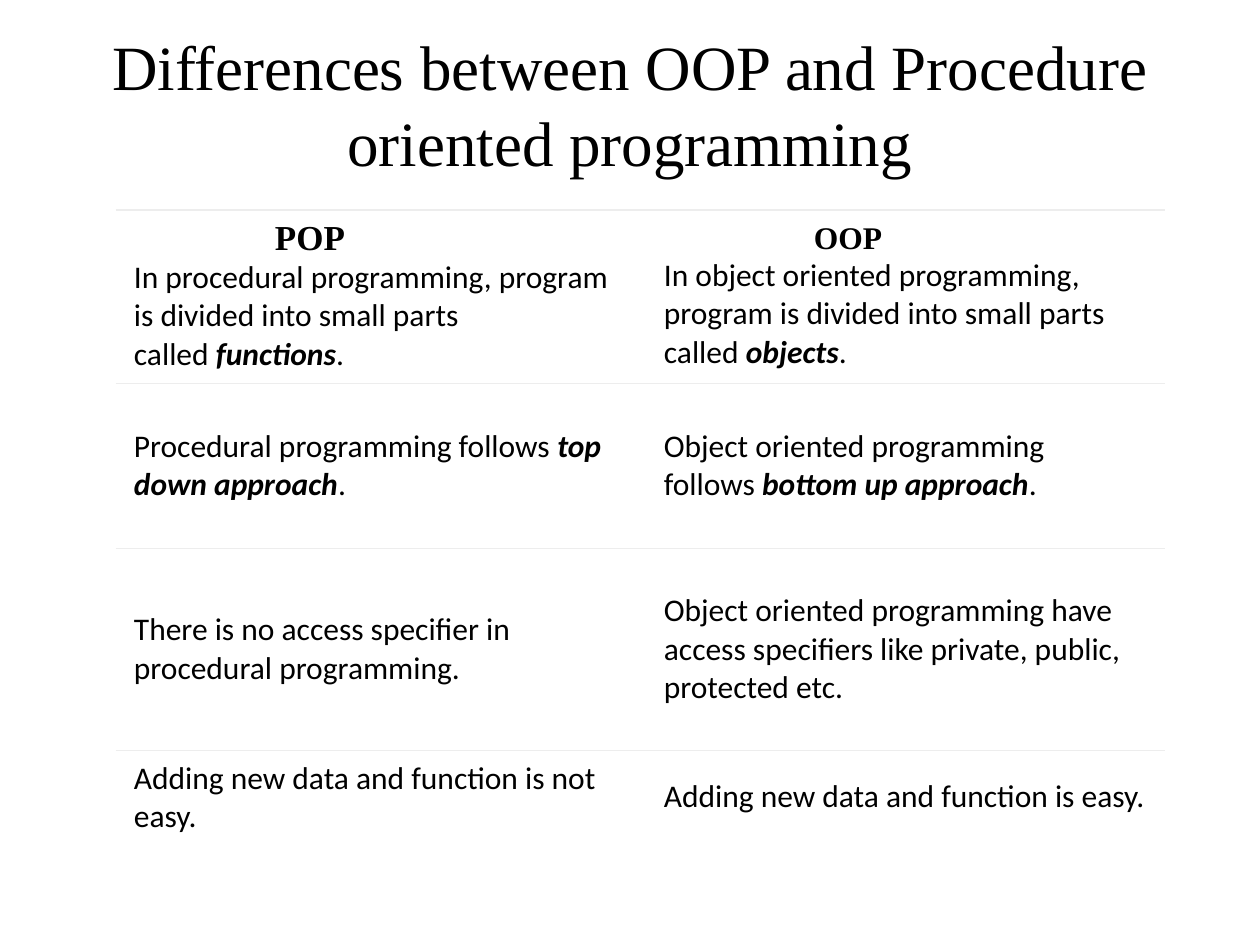
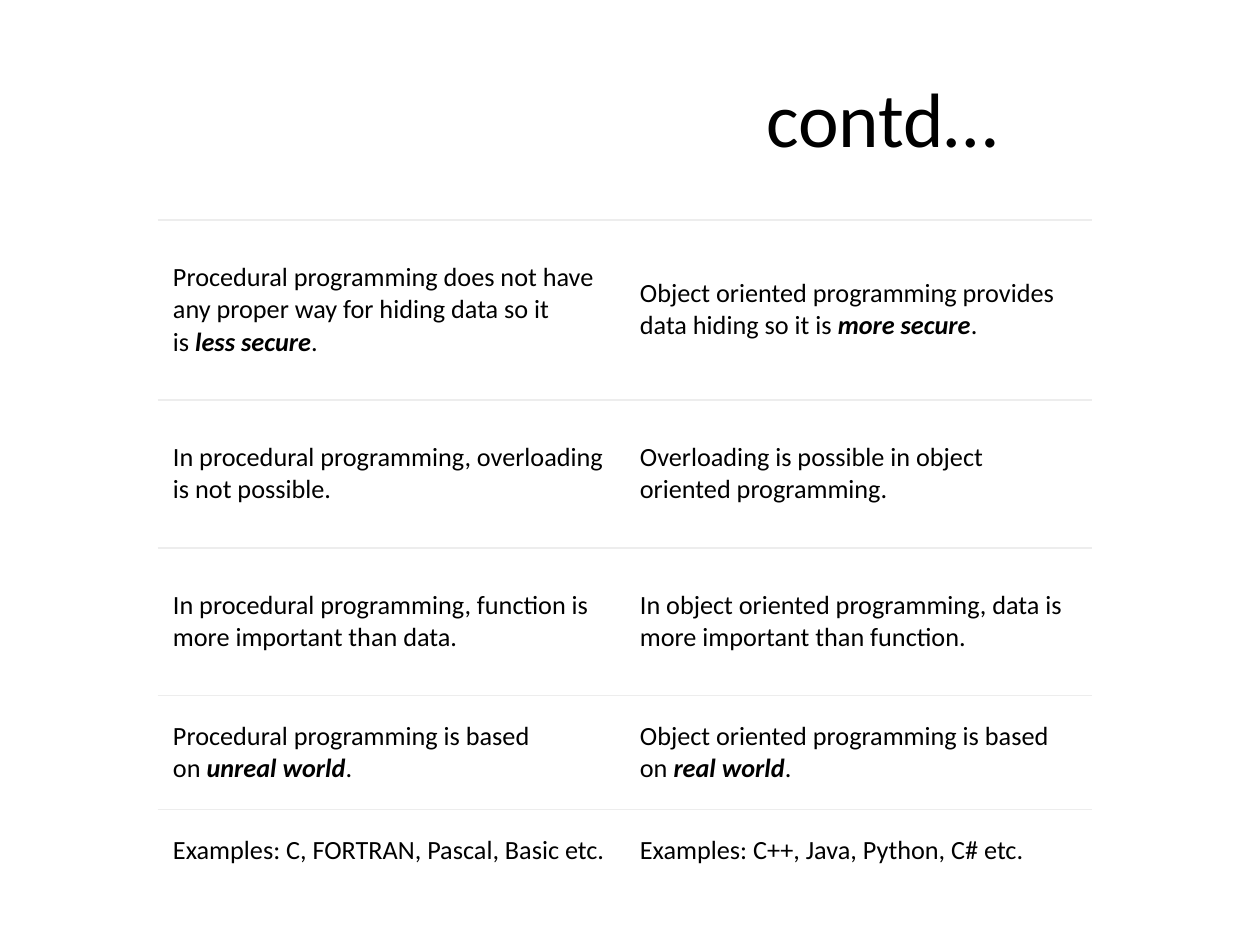
from lxml.etree import SubElement
from pptx import Presentation
from pptx.dml.color import RGBColor
from pptx.enum.text import MSO_ANCHOR, PP_ALIGN
from pptx.oxml.ns import qn
from pptx.util import Inches, Pt

PX = 7257  # EMU per pixel, 126 pixels to the inch
BLACK, WHITE, RULE = "000000", "FFFFFF", "EDEDED"
SANS, SERIF = "Calibri", "Times New Roman"


def rgb(value):
    """Turn a hex string into a colour."""
    return RGBColor.from_string(value)


def add_text(tf, text, size=18, font=SANS, bold=False, align=PP_ALIGN.LEFT, indent=0):
    """Add a paragraph; words between asterisks become bold italic."""
    p = tf.add_paragraph() if tf.text else tf.paragraphs[0]
    p.alignment = align
    if indent:
        p._p.get_or_add_pPr().set("marL", str(indent * PX))
    for i, part in enumerate(text.split("*")):
        r = p.add_run()
        r.text = part
        r.font.size, r.font.name = Pt(size), font
        r.font.bold, r.font.italic = bold or i % 2 == 1, i % 2 == 1
        r.font.color.rgb = rgb(BLACK)


slides = [
    dict(
        title="Differences between OOP and Procedure oriented programming",
        title_format=dict(size=36, font=SERIF), title_height=130,
        left=116, top=210, cols=[530, 519], heights=[172, 165, 202, 92],
        size=18, inset=(18, 9),
        heads=[dict(text="POP", size=20, indent=141), dict(text="OOP", size=18, indent=150)],
        rows=[
            ("In procedural programming, program is divided into small parts called\u00a0*functions*.",
             "In object oriented programming, program is divided into small parts called\u00a0*objects*."),
            ("Procedural programming follows\u00a0*top down approach*.",
             "Object oriented programming follows\u00a0*bottom up approach*."),
            ("There is no access specifier in procedural programming.",
             "Object oriented programming have access specifiers like private, public, protected etc."),
            ("Adding new data and function is not easy.",
             "Adding new data and function is easy."),
        ],
    ),
    dict(
        title="contd…",
        title_format=dict(size=44, indent=504), title_height=157,
        left=158, top=220, cols=[467, 467], heights=[180, 148, 148, 114, 82],
        size=15, inset=(15, 7), heads=[],
        rows=[
            ("Procedural programming does not have any proper way for hiding data so it is\u00a0*less secure*.",
             "Object oriented programming provides data hiding so it is\u00a0*more secure*."),
            ("In procedural programming, overloading is not possible.",
             "Overloading is possible in object oriented programming."),
            ("In procedural programming, function is more important than data.",
             "In object oriented programming, data is more important than function."),
            ("Procedural programming is based on\u00a0*unreal world*.",
             "Object oriented programming is based on\u00a0*real world*."),
            ("Examples: C, FORTRAN, Pascal, Basic etc.",
             "Examples: C++, Java, Python, C# etc."),
        ],
    ),
]

prs = Presentation()
prs.slide_width, prs.slide_height = Inches(10), Inches(7.5)

for page in slides:
    s = prs.slides.add_slide(prs.slide_layouts[6])
    s.background.fill.solid()
    s.background.fill.fore_color.rgb = rgb(WHITE)

    # Title
    sp = s.shapes.add_textbox(63 * PX, 38 * PX, 1134 * PX, page["title_height"] * PX)
    tf = sp.text_frame
    tf.word_wrap, tf.vertical_anchor = True, MSO_ANCHOR.MIDDLE
    add_text(tf, page["title"], align=PP_ALIGN.CENTER, **page["title_format"])

    # Comparison table
    cols, heights, rows = page["cols"], page["heights"], page["rows"]
    table = s.shapes.add_table(len(rows), len(cols), page["left"] * PX, page["top"] * PX,
                               sum(cols) * PX, sum(heights) * PX).table
    table.first_row = table.horz_banding = False
    for column, width in zip(table.columns, cols):
        column.width = width * PX
    for row, height in zip(table.rows, heights):
        row.height = height * PX

    for y, texts in enumerate(rows):
        for x, text in enumerate(texts):
            cell = table.cell(y, x)
            cell.vertical_anchor = MSO_ANCHOR.MIDDLE
            cell.margin_left = cell.margin_right = page["inset"][0] * PX
            cell.margin_top = cell.margin_bottom = page["inset"][1] * PX
            if y == 0 and page["heads"]:
                add_text(cell.text_frame, font=SERIF, bold=True, **page["heads"][x])
            add_text(cell.text_frame, text, size=page["size"])

            # Rules above every row, none at the sides or under the last row
            tc_pr = cell._tc.get_or_add_tcPr()
            ruled = {"a:lnT"} if y == len(rows) - 1 else {"a:lnT", "a:lnB"}
            for side in ("a:lnL", "a:lnR", "a:lnT", "a:lnB"):
                ln = SubElement(tc_pr, qn(side), w=str(Pt(0.75)))
                if side in ruled:
                    SubElement(SubElement(ln, qn("a:solidFill")), qn("a:srgbClr"), val=RULE)
                else:
                    SubElement(ln, qn("a:noFill"))
            cell.fill.solid()
            cell.fill.fore_color.rgb = rgb(WHITE)

prs.save("out.pptx")
